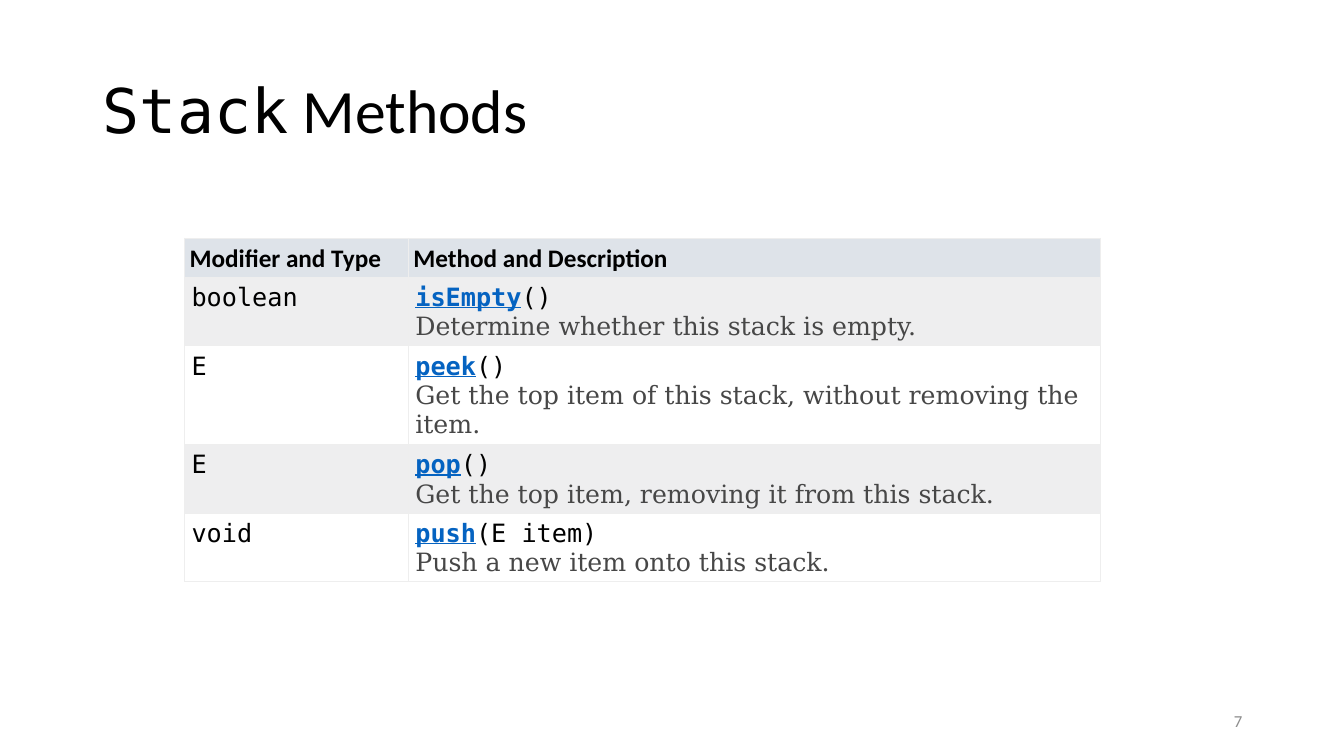
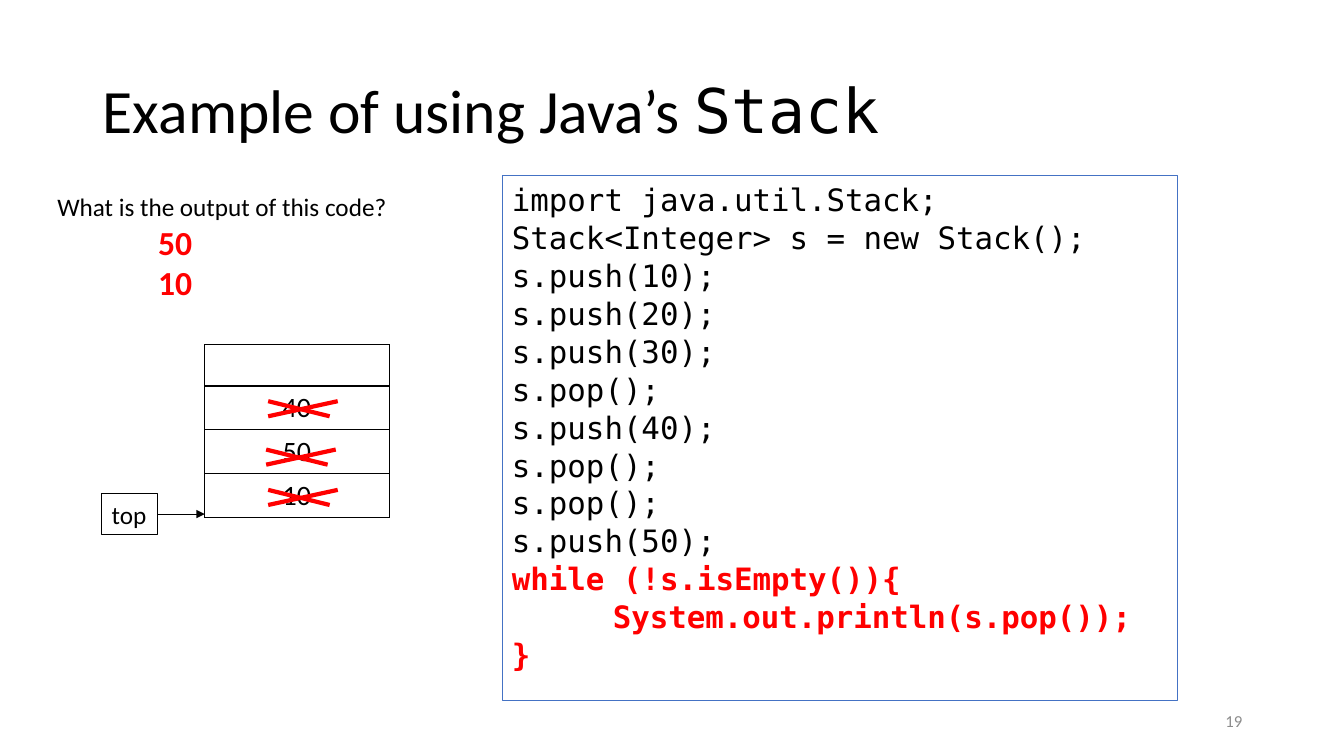
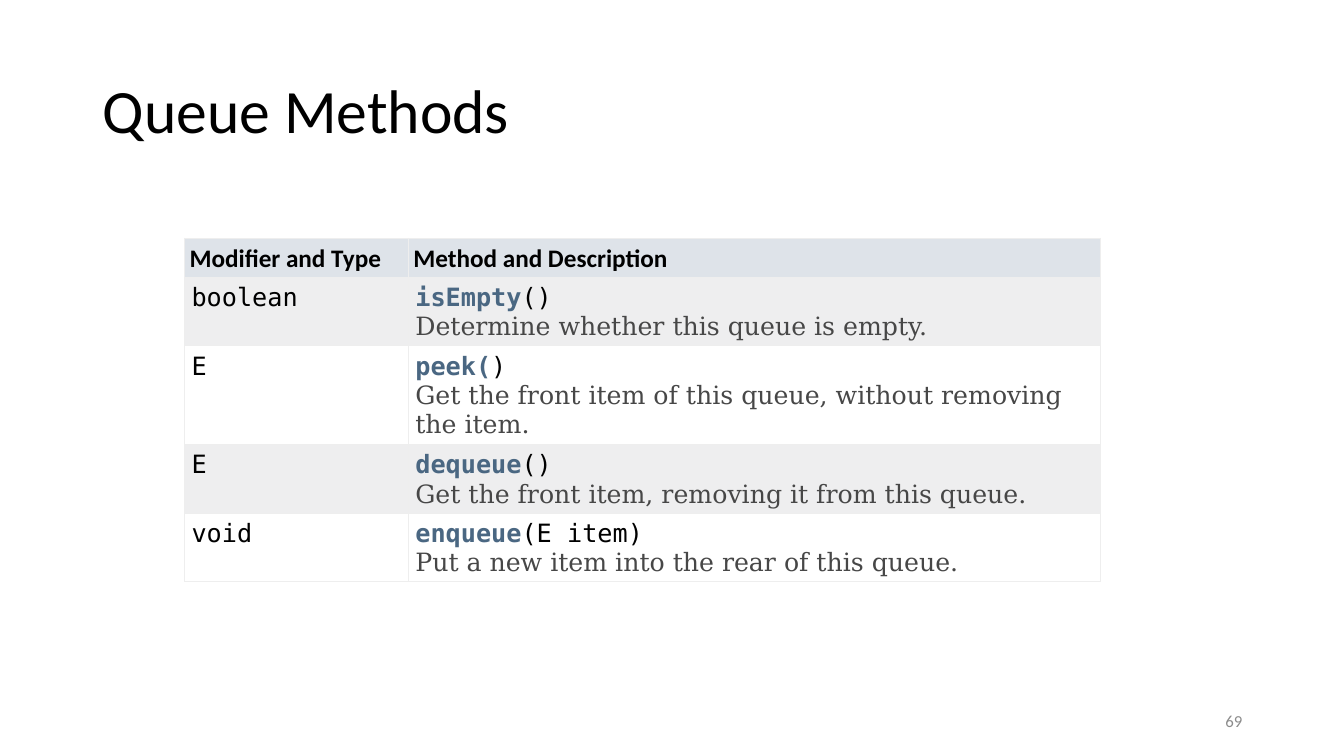
import pptx
import pptx.dml.color
import pptx.enum.shapes
import pptx.enum.text
import pptx.oxml
import pptx.oxml.ns
import pptx.util
from lxml import etree

Inches = pptx.util.Inches
Pt = pptx.util.Pt
RGBColor = pptx.dml.color.RGBColor
Align = pptx.enum.text.PP_ALIGN
Anchor = pptx.enum.text.MSO_ANCHOR
qn = pptx.oxml.ns.qn

BLACK = RGBColor(0x00, 0x00, 0x00)
WHITE = RGBColor(0xFF, 0xFF, 0xFF)
RED = RGBColor(0xFF, 0x00, 0x00)
GRAY = RGBColor(0x8C, 0x8C, 0x8C)
DESCRIPTION_GRAY = RGBColor(0x47, 0x47, 0x47)
HEADER_FILL = RGBColor(0xDE, 0xE3, 0xE9)
BAND_FILL = RGBColor(0xEE, 0xEE, 0xEF)
GRID_GRAY = RGBColor(0xEE, 0xEE, 0xEE)
LINK_BLUE = RGBColor(0x05, 0x63, 0xC1)
METHOD_BLUE = RGBColor(0x4A, 0x67, 0x82)
FRAME_BLUE = RGBColor(0x44, 0x72, 0xC4)

SANS = "Calibri"
MONO = "DejaVu Sans Mono"
SERIF = "DejaVu Serif"

HEADINGS = ["Modifier and Type", "Method and Description"]
STACK_METHODS = [
    ("boolean", "isEmpty", "()", "Determine whether this stack is empty."),
    ("E", "peek", "()", "Get the top item of this stack, without removing the item."),
    ("E", "pop", "()", "Get the top item, removing it from this stack."),
    ("void", "push", "(E item)", "Push a new item onto this stack."),
]
QUEUE_METHODS = [
    ("boolean", "isEmpty", "()", "Determine whether this queue is empty."),
    ("E", "peek(", ")", "Get the front item of this queue, without removing the item."),
    ("E", "dequeue", "()", "Get the front item, removing it from this queue."),
    ("void", "enqueue", "(E item)", "Put a new item into the rear of this queue."),
]
SETUP_CODE = [
    "import java.util.Stack;",
    "Stack<Integer> s = new Stack();",
    "s.push(10);",
    "s.push(20);",
    "s.push(30);",
    "s.pop();",
    "s.push(40);",
    "s.pop();",
    "s.pop();",
    "s.push(50);",
]
LOOP_CODE = [("while (!s.isEmpty()){", 0), ("System.out.println(s.pop());", 1), ("}", 0)]


def add_run(paragraph, text, size=18, font=SANS, color=BLACK, bold=False, underline=False):
    """Append one formatted run to a paragraph."""
    run = paragraph.add_run()
    run.text = text
    run.font.size = Pt(size)
    run.font.name = font
    run.font.color.rgb = color
    run.font.bold = bold
    run.font.underline = underline


def next_paragraph(frame, indent=0):
    """Return the unused first paragraph or a new one, indented in inches."""
    first = frame.paragraphs[0]
    paragraph = frame.add_paragraph() if first.runs else first
    if indent:
        properties = paragraph._p.get_or_add_pPr()
        properties.set("marL", str(Inches(indent)))
        properties.set("indent", "0")
    return paragraph


def add_text_box(slide, left, top, width, height):
    """Add an empty wrapping text box and return its text frame."""
    shape = slide.shapes.add_textbox(Inches(left), Inches(top), Inches(width), Inches(height))
    shape.text_frame.word_wrap = True
    return shape.text_frame


def add_outlined_box(slide, left, top, width, height, color):
    """Add an unfilled rectangle with a thin outline and top-left text."""
    shape = slide.shapes.add_shape(
        pptx.enum.shapes.MSO_SHAPE.RECTANGLE,
        Inches(left), Inches(top), Inches(width), Inches(height))
    shape.shadow.inherit = False
    shape.fill.background()
    shape.line.color.rgb = color
    shape.line.width = Pt(0.75)
    shape.text_frame.vertical_anchor = Anchor.TOP
    shape.text_frame.paragraphs[0].alignment = Align.LEFT
    return shape


def add_line(slide, start, end, color, width):
    """Draw a straight connector between two points in inches."""
    line = slide.shapes.add_connector(
        pptx.enum.shapes.MSO_CONNECTOR.STRAIGHT,
        *[Inches(value) for value in (*start, *end)])
    line.line.color.rgb = color
    line.line.width = Pt(width)
    etree.SubElement(line._element.spPr, qn("a:effectLst"))
    return line


def set_borders(cell, color, width):
    """Give a table cell the same border on all four sides."""
    properties = cell._tc.get_or_add_tcPr()
    for side in ("a:lnL", "a:lnR", "a:lnT", "a:lnB"):
        border = etree.SubElement(properties, qn(side), w=str(Pt(width)))
        fill = etree.SubElement(border, qn("a:solidFill"))
        etree.SubElement(fill, qn("a:srgbClr"), val=str(color))


def add_plain_table(slide, left, top, widths, heights, border_color, border_width):
    """Add a bordered table without style bands."""
    table = slide.shapes.add_table(
        len(heights), len(widths), Inches(left), Inches(top),
        Inches(sum(widths)), Inches(sum(heights))).table
    table.first_row = False
    table.horz_banding = False
    for column, width in zip(table.columns, widths):
        column.width = Inches(width)
    for row, height in zip(table.rows, heights):
        row.height = Inches(height)
    for cell in table.iter_cells():
        set_borders(cell, border_color, border_width)
        cell.fill.background()
    return table


def format_cell(cell, color, left, right):
    """Set the fill and margins of a method table cell."""
    cell.fill.solid()
    cell.fill.fore_color.rgb = color
    cell.margin_left, cell.margin_right = Inches(left), Inches(right)
    cell.margin_top, cell.margin_bottom = Inches(0.06), Inches(0.02)


def add_method_table(slide, left, top, methods, name_color, underline):
    """Draw a table of return types, signatures and descriptions."""
    table = add_plain_table(
        slide, left, top, [2.22, 6.86], [0.39, 0.66, 0.94, 0.66, 0.66], GRID_GRAY, 0.5)
    for column, heading in enumerate(HEADINGS):
        cell = table.cell(0, column)
        format_cell(cell, HEADER_FILL, 0.05, 0.02)
        add_run(cell.text_frame.paragraphs[0], heading, bold=True)
    for row, (kind, name, arguments, description) in enumerate(methods, 1):
        type_cell, method_cell = table.cell(row, 0), table.cell(row, 1)
        for cell in (type_cell, method_cell):
            format_cell(cell, BAND_FILL if row % 2 else WHITE, 0.07, 0.04)
        add_run(type_cell.text_frame.paragraphs[0], kind, font=MONO)
        signature = next_paragraph(method_cell.text_frame)
        add_run(signature, name, font=MONO, color=name_color, bold=True, underline=underline)
        add_run(signature, arguments, font=MONO)
        add_run(next_paragraph(method_cell.text_frame), description,
                font=SERIF, color=DESCRIPTION_GRAY)


def add_code_box(slide, left, top, width, height):
    """Draw the framed listing with its loop emphasised."""
    frame = add_outlined_box(slide, left, top, width, height, FRAME_BLUE).text_frame
    lines = [(text, 0, BLACK) for text in SETUP_CODE]
    lines += [(text, indent, RED) for text, indent in LOOP_CODE]
    for text, indent, color in lines:
        paragraph = next_paragraph(frame, indent)
        paragraph.alignment = Align.LEFT
        paragraph.space_before = Pt(0.75)
        add_run(paragraph, text, 22, MONO, color, bold=color == RED)


def add_question(slide, left, top, width, height):
    """Write the question and the printed values below it."""
    frame = add_text_box(slide, left, top, width, height)
    add_run(next_paragraph(frame), "What is the output of this code?")
    for value in ("50", "10"):
        add_run(next_paragraph(frame, 1), value, 24, color=RED, bold=True)


def add_cross(slide, left, top):
    """Strike out a value with two crossing lines."""
    bottom = top + 0.15
    add_line(slide, (left, top), (left + 0.61, bottom), RED, 3)
    add_line(slide, (left + 0.69, top), (left, bottom), RED, 3)


def add_stack_diagram(slide, left, top):
    """Draw the stack cells, the top pointer and the crossed-out values."""
    table = add_plain_table(slide, left, top, [1.83], [0.41, 0.43, 0.43, 0.43], BLACK, 1)
    for row, value in enumerate(("40", "50", "10"), 1):
        cell = table.cell(row, 0)
        cell.vertical_anchor = Anchor.MIDDLE
        paragraph = cell.text_frame.paragraphs[0]
        paragraph.alignment = Align.CENTER
        add_run(paragraph, value, 20)
    pointer = add_outlined_box(slide, left - 1.02, top + 1.48, 0.55, 0.4, BLACK)
    pointer.text_frame.word_wrap = False
    add_run(pointer.text_frame.paragraphs[0], "top")
    middle = top + 1.68
    arrow = add_line(slide, (left - 0.47, middle), (left, middle), BLACK, 0.5)
    arrow.begin_connect(pointer, 3)
    etree.SubElement(arrow.line._get_or_add_ln(), qn("a:tailEnd"), type="triangle")
    for across, down in ((0.63, 0.56), (0.61, 1.04), (0.63, 1.44)):
        add_cross(slide, left + across, top + down)


def add_titled_slide(presentation, title_runs, number):
    """Add a slide with the shared title style and slide number."""
    slide = presentation.slides.add_slide(presentation.slide_layouts[5])
    title = slide.shapes.title
    title.left, title.top = Inches(0.92), Inches(0.4)
    title.width, title.height = Inches(11.5), Inches(1.45)
    title.text_frame.vertical_anchor = Anchor.MIDDLE
    paragraph = title.text_frame.paragraphs[0]
    paragraph.alignment = Align.LEFT
    paragraph.line_spacing = 0.9
    for text, font in title_runs:
        add_run(paragraph, text, 44, font)
    frame = add_text_box(slide, 9.42, 6.95, 3, 0.4)
    frame.vertical_anchor = Anchor.MIDDLE
    frame.paragraphs[0].alignment = Align.RIGHT
    add_run(frame.paragraphs[0], str(number), 12, color=GRAY)
    return slide


def main():
    """Build and save the three slides."""
    presentation = pptx.Presentation()
    presentation.slide_width = Inches(13.33)
    presentation.slide_height = Inches(7.5)

    slide = add_titled_slide(presentation, [("Stack", MONO), (" Methods", SANS)], 7)
    add_method_table(slide, 1.83, 2.36, STACK_METHODS, LINK_BLUE, True)

    slide = add_titled_slide(
        presentation, [("Example of using Java’s ", SANS), ("Stack", MONO)], 19)
    add_code_box(slide, 4.98, 1.74, 6.7, 5.21)
    add_question(slide, 0.47, 1.85, 3.77, 1.21)
    add_stack_diagram(slide, 2.03, 3.42)

    slide = add_titled_slide(presentation, [("Queue Methods", SANS)], 69)
    add_method_table(slide, 1.83, 2.36, QUEUE_METHODS, METHOD_BLUE, False)

    presentation.save("out.pptx")


if __name__ == "__main__":
    main()
